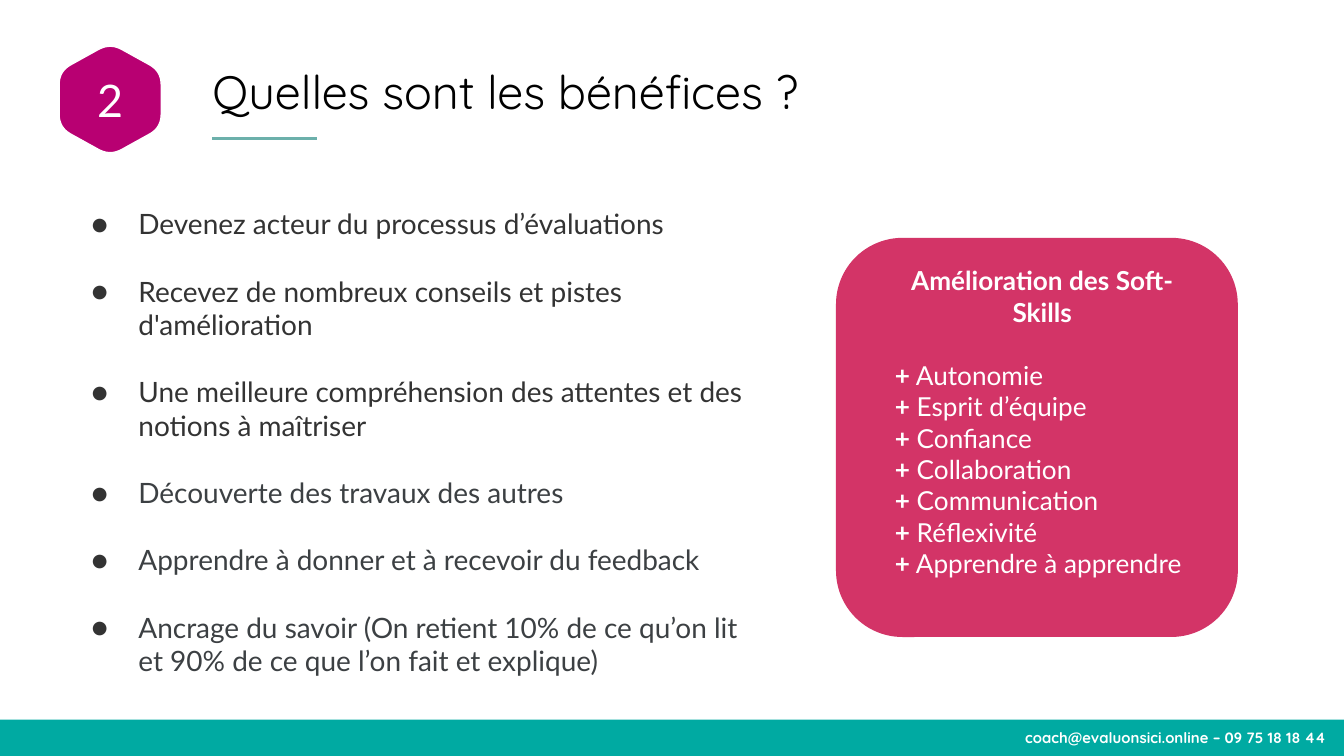
from math import hypot
from lxml import etree
from pptx import Presentation
from pptx.dml.color import RGBColor
from pptx.enum.shapes import MSO_CONNECTOR, MSO_SHAPE
from pptx.enum.text import MSO_ANCHOR, MSO_AUTO_SIZE, PP_ALIGN
from pptx.oxml.ns import qn
from pptx.util import Inches, Pt

LEFT, MID, RIGHT = PP_ALIGN.LEFT, PP_ALIGN.CENTER, PP_ALIGN.RIGHT
TOP, CENTER = MSO_ANCHOR.TOP, MSO_ANCHOR.MIDDLE
RECT, CARD = MSO_SHAPE.RECTANGLE, MSO_SHAPE.FLOWCHART_ALTERNATE_PROCESS

# Content
TITLE = "Quelles sont les bénéfices ?"
NUMBER = "2"
GAINS = [
    ("Devenez acteur du processus d’évaluations", "dark"),
    ("Recevez de nombreux conseils et pistes d'amélioration", "dark"),
    ("Une meilleure compréhension des attentes et des notions à maîtriser", "dark"),
    ("Découverte des travaux des autres", "slate"),
    ("Apprendre à donner et à recevoir du feedback", "slate"),
    ("Ancrage du savoir (On retient 10% de ce qu’on lit "
     "et 90% de ce que l’on fait et explique)", "slate"),
]
HEAD = "Amélioration des Soft-Skills"
SKILLS = ["Autonomie", "Esprit d’équipe", "Confiance", "Collaboration",
          "Communication", "Réflexivité", "Apprendre à apprendre"]
CONTACT = "coach@evaluonsici.online – 09 75 18 18 44 "

# Style
COLORS = {"black": "000000", "dark": "333333", "slate": "3C4043", "white": "FFFFFF",
          "teal": "00AAA2", "rule": "6CB0AB", "plum": "B80072", "pink": "D33467"}
W = 10
H = W * 9 / 16
BAR = 0.27
FORMATS = {
    "title": {"name": "Quicksand", "size": Pt(25), "bold": False},
    "number": {"name": "Lato", "size": Pt(24), "bold": False},
    "gain": {"name": "Lato", "size": Pt(15), "bold": False},
    "strong": {"name": "Lato", "size": Pt(14), "bold": True},
    "skill": {"name": "Lato", "size": Pt(14), "bold": False},
    "foot": {"name": "Quicksand", "size": Pt(8), "bold": True},
}


def color(key):
    return RGBColor.from_string(COLORS[key])


def write(par, text, style, tint="white"):
    run = par.add_run()
    run.text = text
    for key, value in FORMATS[style].items():
        setattr(run.font, key, value)
    run.font.color.rgb = color(tint)


def setup(shape, inset=0.1, anchor=TOP):
    frame = shape.text_frame
    frame.auto_size = MSO_AUTO_SIZE.NONE
    frame.word_wrap = True
    frame.vertical_anchor = anchor
    for side in ("left", "top", "right", "bottom"):
        setattr(frame, "margin_" + side, Inches(inset))
    return frame


def add_par(frame, index, align=LEFT, before=0):
    par = frame.add_paragraph() if index else frame.paragraphs[0]
    par.alignment = align
    par.space_before = Pt(before if index else 0)
    return par


def place(shape, *box):
    for key, value in zip(("left", "top", "width", "height"), box):
        setattr(shape, key, Inches(value))


def paint(shape, fill):
    shape.shadow.inherit = False
    shape.fill.solid()
    shape.fill.fore_color.rgb = color(fill)
    shape.line.fill.background()


def add_box(kind, fill, *box):
    shape = slide.shapes.add_shape(kind, *map(Inches, box))
    paint(shape, fill)
    return shape


def bullet(par):
    props = par._p.get_or_add_pPr()
    props.set("marL", str(Inches(0.5)))
    props.set("indent", str(Inches(-0.35)))
    tint = etree.SubElement(props, qn("a:buClr"))
    etree.SubElement(tint, qn("a:srgbClr"), val=COLORS["dark"])
    etree.SubElement(props, qn("a:buFont"), typeface="Lato")
    etree.SubElement(props, qn("a:buChar"), char="●")


def toward(start, end, size):
    share = size / hypot(end[0] - start[0], end[1] - start[1])
    return tuple(a + (b - a) * share for a, b in zip(start, end))


def round_off(corners, cut, steps=10):
    points = []
    for i, tip in enumerate(corners):
        first = toward(tip, corners[i - 1], cut)
        last = toward(tip, corners[(i + 1) % len(corners)], cut)
        for step in range(steps + 1):
            t = step / steps
            points.append(tuple((1 - t) ** 2 * a + 2 * t * (1 - t) * b + t * t * c
                                for a, b, c in zip(first, tip, last)))
    return points


prs = Presentation()
prs.slide_width, prs.slide_height = Inches(W), Inches(H)
slide = prs.slides.add_slide(prs.slide_layouts[1])

# Title and its rule
title, body = slide.placeholders
place(title, 1.58, 0.47, 7.27, 0.42)
write(add_par(setup(title, 0), 0), TITLE, "title", "black")
rule = slide.shapes.add_connector(
    MSO_CONNECTOR.STRAIGHT, *map(Inches, (1.58, 1.03, 2.36, 1.03)))
rule.line.color.rgb = color("rule")
rule.line.width = Pt(2)
etree.SubElement(rule._element.spPr, qn("a:effectLst"))

# Rounded hexagon with the section number
cx, cy, half, tall, side = 0.82, 0.74, 0.38, 0.42, 0.21
corners = [(cx, cy - tall), (cx + half, cy - side), (cx + half, cy + side),
           (cx, cy + tall), (cx - half, cy + side), (cx - half, cy - side)]
points = [(Inches(x), Inches(y)) for x, y in round_off(corners, 0.1)]
edge = slide.shapes.build_freeform(*points[0])
edge.add_line_segments(points[1:], close=True)
badge = edge.convert_to_shape()
paint(badge, "plum")
badge.line.color.rgb = color("white")
badge.line.width = Pt(0.75)
write(add_par(setup(badge, 0, CENTER), 0, MID), NUMBER, "number")

# Footer bar
foot = add_box(RECT, "teal", 0, H - BAR, W, BAR)
write(add_par(setup(foot, 0.1, CENTER), 0, RIGHT), CONTACT, "foot")

# Benefits list
place(body, 0.43, 1.44, 5.36, 3.74)
frame = setup(body)
for i, (text, tint) in enumerate(GAINS):
    par = add_par(frame, i, before=18)
    bullet(par)
    write(par, text, "gain", tint)

# Soft skills card
add_box(CARD, "pink", 6.22, 1.77, 2.99, 2.97)
panel = setup(add_box(RECT, "pink", 6.56, 1.87, 2.39, 2.56))
write(add_par(panel, 0, MID), HEAD, "strong")
for i, skill in enumerate(SKILLS, 1):
    par = add_par(panel, i, before=17 if i == 1 else 0)
    write(par, "+", "strong")
    write(par, " " + skill, "skill")

prs.save("out.pptx")
